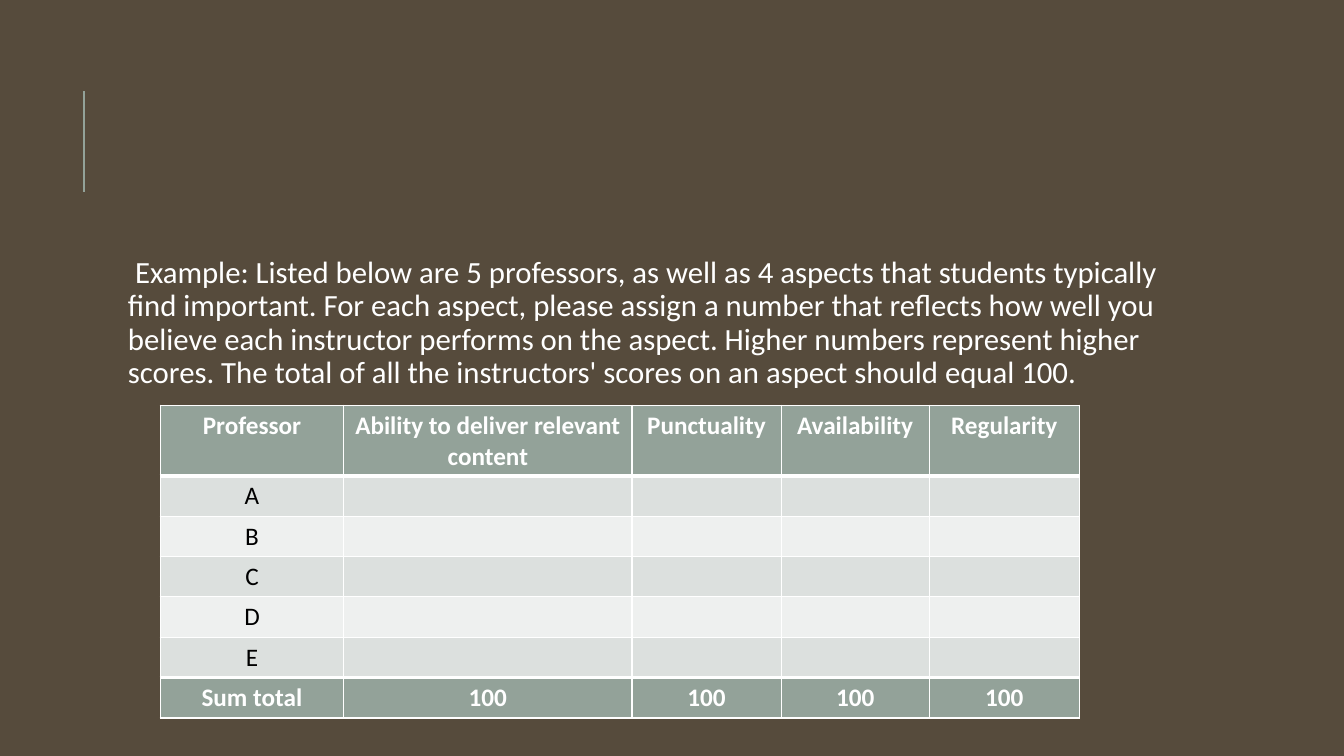
"""Build a slide that shows a constant sum rating of five professors."""
from dataclasses import dataclass

from lxml.etree import SubElement as Sub
from pptx import Presentation
from pptx.dml.color import RGBColor
from pptx.enum.shapes import MSO_CONNECTOR as Link
from pptx.enum.text import PP_ALIGN as Align
from pptx.oxml.ns import qn
from pptx.util import Inches, Pt

BROWN = RGBColor(0x56, 0x4B, 0x3C)
SAGE = RGBColor(0x93, 0xA2, 0x99)
GREY = RGBColor(0xDC, 0xE0, 0xDE)
PALE = RGBColor(0xEE, 0xF0, 0xEF)
WHITE = RGBColor(0xFF, 0xFF, 0xFF)
BLACK = RGBColor(0, 0, 0)
FONT = "Calibri"
COLS, ROWS = 160, 90
UNIT = Inches(7.5) / ROWS

INTRO = (
    "Example: Listed below are 5 professors, as well as 4 aspects that students "
    "typically find important. For each aspect, please assign a number that "
    "reflects how well you believe each instructor performs on the aspect. "
    "Higher numbers represent higher scores. The total of all the instructors' "
    "scores on an aspect should equal 100."
)


@dataclass(frozen=True)
class Look:
    """Style of one table row."""
    fill: RGBColor
    ink: RGBColor
    bold: bool


@dataclass(frozen=True)
class Band:
    """One table row with its height in grid rows."""
    texts: tuple[str, ...]
    look: Look
    high: float = 4.8


@dataclass(frozen=True)
class Aspect:
    """One table column with its width in grid columns."""
    name: str
    wide: float


HEAD = Look(SAGE, WHITE, True)
DARK = Look(GREY, BLACK, False)
LIGHT = Look(PALE, BLACK, False)
ASPECTS = (
    Aspect("Professor", 21.84),
    Aspect("Ability to deliver relevant content", 34.32),
    Aspect("Punctuality", 17.76),
    Aspect("Availability", 17.64),
    Aspect("Regularity", 17.88),
)
BLANKS = ("",) * (len(ASPECTS) - 1)
BANDS = (
    Band(tuple(item.name for item in ASPECTS), HEAD, 8.4),
    *(Band((name, *BLANKS), (DARK, LIGHT)[i % 2]) for i, name in enumerate("ABCDE")),
    Band(("Sum total", *("100" for _ in BLANKS)), HEAD),
)


def grid(count: float) -> int:
    """Turn grid steps into a length."""
    return round(count * UNIT)


def write(para, text: str, size: int, ink: RGBColor, bold: bool = False) -> None:
    """Add one formatted run to a paragraph."""
    run = para.add_run()
    run.text = text
    font = run.font
    font.name, font.size, font.bold = FONT, Pt(size), bold
    font.color.rgb = ink


def edge(cell, side: str, width: float) -> None:
    """Give one side of a cell a white border."""
    line = Sub(cell._tc.get_or_add_tcPr(), qn(f"a:ln{side}"), w=str(Pt(width)))
    fill = Sub(line, qn("a:solidFill"))
    Sub(fill, qn("a:srgbClr"), val=str(WHITE))


def draw_rule(slide) -> None:
    """Draw the upright accent line."""
    line = slide.shapes.add_connector(
        Link.STRAIGHT, grid(10), grid(22.8), grid(10), grid(10.8))
    line.line.color.rgb = SAGE
    line.line.width = Pt(1.5)
    Sub(line._element.spPr, qn("a:effectLst"))


def draw_intro(slide) -> None:
    """Write the task above the table."""
    box = slide.shapes.add_textbox(grid(13.44), grid(30), grid(127.56), grid(52.8))
    frame = box.text_frame
    frame.word_wrap = True
    frame.margin_left = frame.margin_right = Inches(0.05)
    frame.margin_top = frame.margin_bottom = Inches(0.05)
    para = frame.paragraphs[0]
    para.line_spacing = 0.9
    para.space_before, para.space_after = Pt(12), Pt(2)
    props = para._p.get_or_add_pPr()
    props.set("marL", str(Inches(0.1)))
    props.set("indent", str(Inches(0.07)))
    write(para, INTRO, 22, WHITE)


def draw_table(slide) -> None:
    """Draw the rating table with thick lines beside its head and its total."""
    wide = sum(item.wide for item in ASPECTS)
    high = sum(band.high for band in BANDS)
    table = slide.shapes.add_table(
        len(BANDS), len(ASPECTS), grid(19.08), grid(48.24), grid(wide), grid(high)).table
    table.first_row = table.horz_banding = False
    for col, item in zip(table.columns, ASPECTS):
        col.width = grid(item.wide)
    thick = (1, len(BANDS) - 1)
    for i, (row, band) in enumerate(zip(table.rows, BANDS)):
        row.height = grid(band.high)
        top, base = (3 if at in thick else 1 for at in (i, i + 1))
        for cell, text in zip(row.cells, band.texts):
            for side, width in (("L", 1), ("R", 1), ("T", top), ("B", base)):
                edge(cell, side, width)
            cell.fill.solid()
            cell.fill.fore_color.rgb = band.look.fill
            para = cell.text_frame.paragraphs[0]
            para.alignment = Align.CENTER
            if text:
                write(para, text, 18, band.look.ink, band.look.bold)


def main() -> None:
    """Make and save the deck."""
    deck = Presentation()
    deck.slide_width, deck.slide_height = grid(COLS), grid(ROWS)
    slide = deck.slides.add_slide(deck.slide_layouts[6])
    slide.background.fill.solid()
    slide.background.fill.fore_color.rgb = BROWN
    draw_rule(slide)
    draw_intro(slide)
    draw_table(slide)
    deck.save("out.pptx")


if __name__ == "__main__":
    main()
